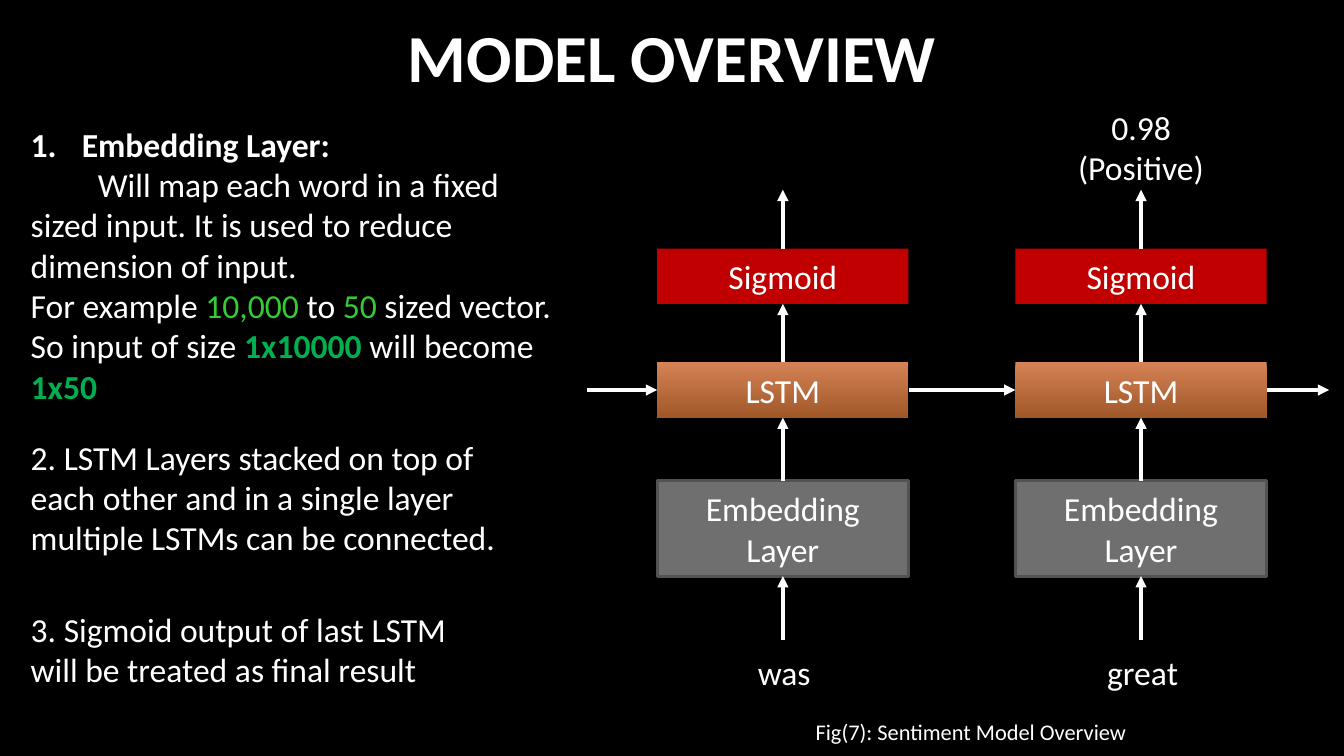
"""Build the MODEL OVERVIEW slide: layer notes beside a two-step LSTM diagram."""
from dataclasses import dataclass
from typing import Optional

import pptx
import pptx.dml.color
import pptx.enum.shapes
import pptx.enum.text
import pptx.oxml.ns
import pptx.util
from lxml import etree

COLORS = {
    "background": "000000", "text": "FFFFFF", "title_end": "A6A6A6",
    "embedding": "6F6F6F", "embedding_edge": "525252",
    "lstm_top": "D48256", "lstm_bottom": "A15828", "sigmoid": "C00000",
    "number": "33CC33", "size": "00B050",
}
WIDTH = pptx.util.Inches(10)
HEIGHT = WIDTH * 9 // 16
FONT = "Calibri"
FIRST_STEP, STEP_PITCH, LAYER_WIDTH = 48.9, 26.65, 18.7
TOP, LEFT, BOTTOM, RIGHT = range(4)
CENTER = pptx.enum.text.PP_ALIGN.CENTER


@dataclass(frozen=True)
class Area:
    """Place in percent of the slide's width and height."""
    left: float
    top: float
    width: float
    height: float

    def emu(self) -> tuple:
        return col(self.left), row(self.top), col(self.width), row(self.height)


@dataclass(frozen=True)
class Layer:
    label: str
    top: float
    height: float
    fills: tuple
    edge: Optional[str] = None


@dataclass(frozen=True)
class Span:
    text: str
    color: str = "text"
    bold: bool = False


@dataclass(frozen=True)
class Para:
    spans: tuple
    margin: float = 0
    indent: float = 0
    numbered: bool = False


@dataclass(frozen=True)
class Note:
    area: Area
    paras: tuple
    size: float = 18
    align: Optional[pptx.enum.text.PP_ALIGN] = None


def col(share: float) -> int:
    return round(WIDTH * share / 100)


def row(share: float) -> int:
    return round(HEIGHT * share / 100)


def rgb(name: str) -> pptx.dml.color.RGBColor:
    return pptx.dml.color.RGBColor.from_string(COLORS[name])


def plain(text: str) -> tuple:
    return (Para((Span(text),)),)


def paint(fill, names: tuple, angle: float = 270) -> None:
    if len(names) == 1:
        fill.solid()
        fill.fore_color.rgb = rgb(names[0])
        return
    fill.gradient()
    fill.gradient_angle = angle
    for stop, name in zip(fill.gradient_stops, names):
        stop.color.rgb = rgb(name)


def set_font(font, size: float, bold: bool = False) -> None:
    font.name, font.size, font.bold = FONT, pptx.util.Pt(size), bold
    font.color.rgb = rgb("text")


def write(paragraph, para: Para, size: float) -> None:
    properties = paragraph._p.get_or_add_pPr()
    if para.margin or para.indent:
        properties.set("marL", str(pptx.util.Inches(para.margin)))
        properties.set("indent", str(pptx.util.Inches(para.indent)))
    if para.numbered:
        etree.SubElement(properties, pptx.oxml.ns.qn("a:buAutoNum"), type="arabicPeriod")
    uniform = len(para.spans) == 1
    set_font(paragraph.font, size, uniform and para.spans[0].bold)
    for span in para.spans:
        run = paragraph.add_run()
        run.text = span.text
        if not uniform:
            run.font.bold = span.bold
            run.font.color.rgb = rgb(span.color)


def add_note(slide, note: Note):
    frame = slide.shapes.add_textbox(*note.area.emu()).text_frame
    frame.word_wrap = True
    for index, para in enumerate(note.paras):
        paragraph = frame.add_paragraph() if index else frame.paragraphs[0]
        paragraph.alignment = note.align
        write(paragraph, para, note.size)
    return frame


def add_layer(slide, layer: Layer, left: float):
    area = Area(left, layer.top, LAYER_WIDTH, layer.height)
    box = slide.shapes.add_shape(pptx.enum.shapes.MSO_SHAPE.RECTANGLE, *area.emu())
    box.shadow.inherit = False
    paint(box.fill, layer.fills)
    if layer.edge:
        box.line.color.rgb = rgb(layer.edge)
        box.line.width = pptx.util.Pt(1.5)
    else:
        box.line.fill.background()
    box.text_frame.word_wrap = True
    box.text_frame.vertical_anchor = pptx.enum.text.MSO_ANCHOR.MIDDLE
    paragraph = box.text_frame.paragraphs[0]
    paragraph.alignment = CENTER
    write(paragraph, plain(layer.label)[0], 18)
    return box


def add_arrow(slide, start: tuple, end: tuple) -> None:
    """Join two ends, each a (box, side) pair or an (x, y) point in EMU."""
    points = [(0, 0) if hasattr(anchor[0], "shape_id") else anchor for anchor in (start, end)]
    arrow = slide.shapes.add_connector(
        pptx.enum.shapes.MSO_CONNECTOR.STRAIGHT, *points[0], *points[1])
    for anchor, connect in ((start, arrow.begin_connect), (end, arrow.end_connect)):
        if hasattr(anchor[0], "shape_id"):
            connect(*anchor)
    arrow.line.color.rgb = rgb("text")
    arrow.line.width = pptx.util.Pt(2)
    etree.SubElement(arrow.line._get_or_add_ln(), pptx.oxml.ns.qn("a:tailEnd"), type="triangle")
    etree.SubElement(arrow._element.spPr, pptx.oxml.ns.qn("a:effectLst"))


LAYERS = (
    Layer("Embedding Layer", 63.6, 12.62, ("embedding",), "embedding_edge"),
    Layer("LSTM", 47.95, 7.29, ("lstm_top", "lstm_bottom")),
    Layer("Sigmoid", 32.9, 7.29, ("sigmoid",)),
)
NOTES = (
    Note(Area(55.4, 85.4, 14.3, 7.11), plain("was")),
    Note(Area(81.4, 85.4, 10, 7.11), plain("great")),
    Note(Area(79.05, 13.2, 11.7, 12.62), plain("0.98 (Positive)"), align=CENTER),
    Note(Area(1.3, 15.47, 40.9, 39.47), (
        Para((Span("Embedding Layer:", bold=True),), 0.38, -0.38, True),
        Para((Span("Will map each word in a fixed sized input. "
                   "It is used to reduce dimension of input."),), indent=0.5),
        Para((Span("For example "), Span("10,000", "number"), Span(" to "),
              Span("50", "number"), Span(" sized vector. So input of size "),
              Span("1x10000", "size", True), Span(" will become "),
              Span("1x50", "size", True))),
    )),
    Note(Area(1.3, 56.9, 37.8, 17.96), plain(
        "2. LSTM Layers stacked on top of each other and in a single layer "
        "multiple LSTMs can be connected.")),
    Note(Area(1.3, 79.68, 34.9, 12.62), plain(
        "3. Sigmoid output of last LSTM will be treated as final result")),
    Note(Area(59.7, 94.08, 34.5, 5.33), plain("Fig(7): Sentiment Model Overview"), 12),
)


def main() -> None:
    deck = pptx.Presentation()
    deck.slide_width, deck.slide_height = WIDTH, HEIGHT
    slide = deck.slides.add_slide(deck.slide_layouts[6])
    paint(slide.background.fill, ("background",))

    title = add_note(slide, Note(
        Area(0, 0, 100, 13.51), (Para((Span("MODEL OVERVIEW", bold=True),)),), 36, CENTER))
    title.vertical_anchor = pptx.enum.text.MSO_ANCHOR.BOTTOM
    paint(title.paragraphs[0].runs[0].font.fill, ("text", "title_end"), 267)

    steps = [[add_layer(slide, layer, FIRST_STEP + STEP_PITCH * step) for layer in LAYERS]
             for step in range(2)]
    for embedding, lstm, sigmoid in steps:
        middle = embedding.left + embedding.width // 2
        add_arrow(slide, (middle, row(84.65)), (embedding, BOTTOM))
        add_arrow(slide, (embedding, TOP), (lstm, BOTTOM))
        add_arrow(slide, (lstm, TOP), (sigmoid, BOTTOM))
        add_arrow(slide, (sigmoid, TOP), (middle, row(25.1)))

    first, last = (step[1] for step in steps)
    state_row = first.top + first.height // 2
    add_arrow(slide, (col(43.7), state_row), (first, LEFT))
    add_arrow(slide, (first, RIGHT), (last, LEFT))
    add_arrow(slide, (last, RIGHT), (col(98.9), state_row))

    for note in NOTES:
        add_note(slide, note)
    deck.save("out.pptx")


if __name__ == "__main__":
    main()
